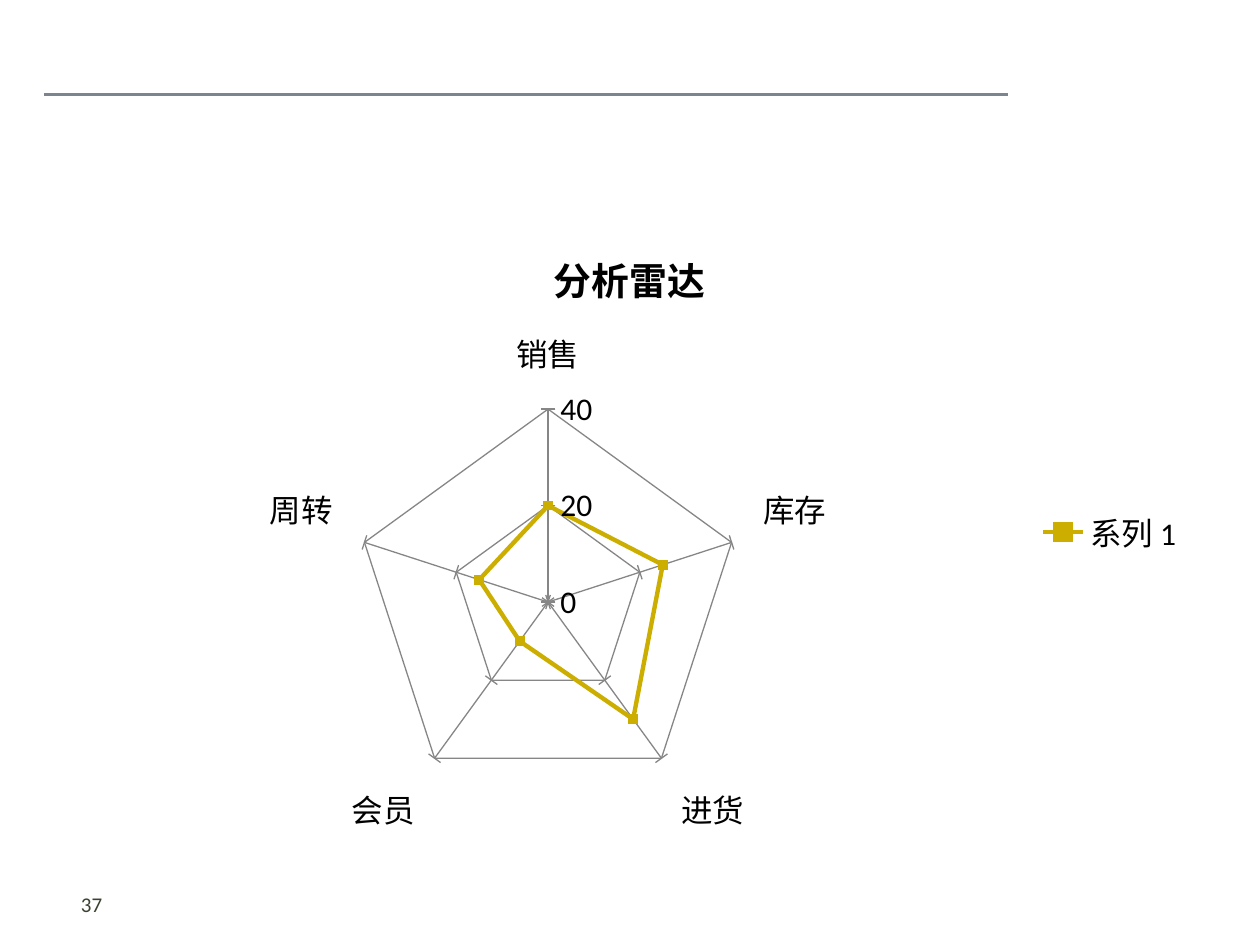
from lxml.etree import SubElement
from pptx import Presentation
from pptx.chart.data import CategoryChartData
from pptx.dml.color import RGBColor
from pptx.enum.chart import (XL_CHART_TYPE as ChartType, XL_LEGEND_POSITION as LegendPos,
                             XL_MARKER_STYLE as Marker, XL_TICK_MARK as Tick)
from pptx.enum.shapes import MSO_CONNECTOR as Connector
from pptx.enum.text import MSO_ANCHOR as Anchor, PP_ALIGN as Align
from pptx.oxml.ns import qn
from pptx.util import Inches, Pt


def rgb(color):
    return RGBColor.from_string(color)


def format_font(font, name="Calibri", size=18, color="000000", bold=False):
    font.name, font.size, font.bold = name, Pt(size), bold
    font.color.rgb = rgb(color)


def write(tf, text, align=None, **style):
    """Put one formatted run in the first paragraph of a text frame."""
    p = tf.paragraphs[0]
    p.alignment = align
    r = p.add_run()
    r.text = text
    format_font(r.font, **style)


def format_line(line, color, width):
    line.color.rgb = rgb(color)
    line.width = Pt(width)


class SlideBuilder:
    RULE, GRID, ACCENT, NUMBER = "7E848D", "868686", "CCAE00", "3A4230"

    def __init__(self, prs):
        self.prs = prs
        self.s = prs.slides.add_slide(prs.slide_layouts[6])

    def place(self, x, y, *size):
        """Turn shares of the slide's width and height into lengths."""
        full = (self.prs.slide_width, self.prs.slide_height) * 2
        return [round(share * side) for share, side in zip((x, y, *size), full)]

    def rule(self, x1, x2, y):
        line = self.s.shapes.add_connector(Connector.STRAIGHT, *self.place(x1, y, x2, y))
        format_line(line.line, self.RULE, 2)
        SubElement(line._element.spPr, qn("a:effectLst"))

    def page_number(self, text, *box):
        tf = self.s.shapes.add_textbox(*self.place(*box)).text_frame
        tf.word_wrap = True
        tf.vertical_anchor = Anchor.MIDDLE
        write(tf, text, Align.RIGHT, size=12, color=self.NUMBER)

    def radar(self, title, name, values, *box):
        data = CategoryChartData()
        data.categories = list(values)
        data.add_series(name, list(values.values()))
        chart = self.s.shapes.add_chart(
            ChartType.RADAR_MARKERS, *self.place(*box), data).chart
        format_font(chart.font)
        chart.has_title = True
        write(chart.chart_title.text_frame, title, size=21.6, bold=True)
        chart.has_legend = True
        chart.legend.position = LegendPos.RIGHT
        chart.legend.include_in_layout = False

        for axis, tick in ((chart.category_axis, Tick.OUTSIDE), (chart.value_axis, Tick.CROSS)):
            axis.has_major_gridlines = True
            axis.major_tick_mark = tick
            axis.minor_tick_mark = Tick.NONE
            format_line(axis.major_gridlines.format.line, self.GRID, 0.75)
            format_line(axis.format.line, self.GRID, 0.75)
        axis = chart.value_axis
        axis.minimum_scale, axis.maximum_scale, axis.major_unit = 0, 40, 20

        series = chart.plots[0].series[0]
        series.smooth = False
        format_line(series.format.line, self.ACCENT, 2.5)
        marker = series.marker
        marker.style, marker.size = Marker.SQUARE, 5
        marker.format.fill.solid()
        marker.format.fill.fore_color.rgb = rgb(self.ACCENT)
        format_line(marker.format.line, self.ACCENT, 0.75)


def main():
    prs = Presentation()
    prs.slide_width, prs.slide_height = Inches(10), Inches(7.5)
    slide = SlideBuilder(prs)
    slide.rule(0.035, 0.8, 0.1)
    scores = {"销售": 20, "库存": 25, "进货": 30, "会员": 10, "周转": 15}
    slide.radar("分析雷达", "系列 1", scores, 0.05, 0.233, 0.9, 0.66)
    slide.page_number("37", 0.028, 0.93, 0.063, 0.053)
    prs.save("out.pptx")


if __name__ == "__main__":
    main()
